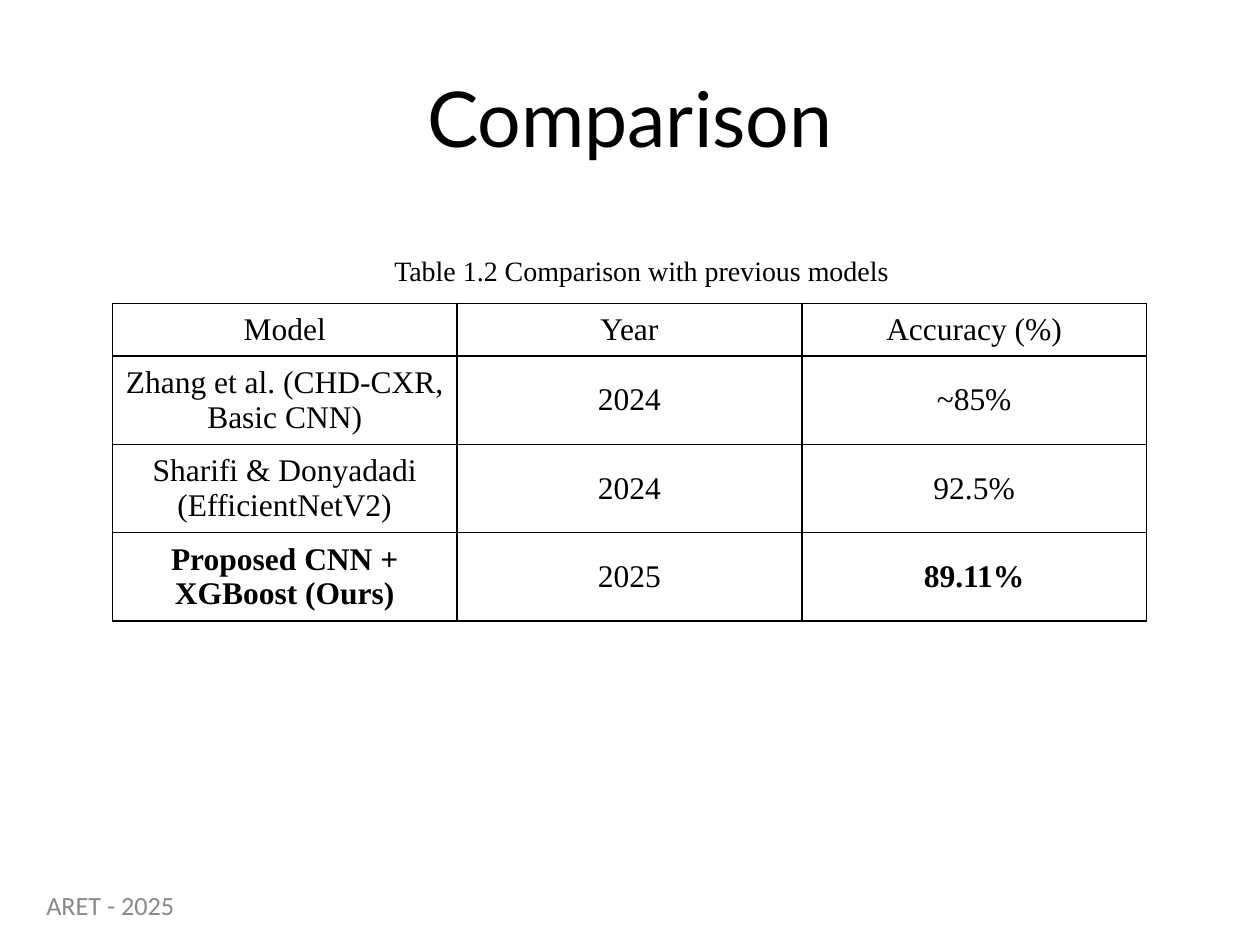
"""Build the model comparison slide."""
from lxml.etree import SubElement
from pptx import Presentation
from pptx.dml.color import RGBColor
from pptx.enum.text import MSO_ANCHOR as Anchor, PP_ALIGN as Align
from pptx.oxml.ns import qn
from pptx.util import Pt

COLORS = {"text": "000000", "border": "000000", "footer": "898989"}
SERIF = "Times New Roman"
MODELS = [
    ("Model", "Year", "Accuracy (%)"),
    ("Zhang et al. (CHD-CXR, Basic CNN)", "2024", "~85%"),
    ("Sharifi & Donyadadi (EfficientNetV2)", "2024", "92.5%"),
    ("Proposed CNN + XGBoost (Ours)", "2025", "89.11%"),
]
BOLD_TEXTS = {"Proposed CNN + XGBoost (Ours)", "89.11%"}
ROW_HEIGHTS = (30, 50.4, 50.4, 50.4)
COLUMN_WIDTH = 197


def write(frame, text, font_name, size, color="text", align=Align.LEFT, bold=False):
    """Set one formatted paragraph in a text frame and return it."""
    frame.text = text
    paragraph = frame.paragraphs[0]
    paragraph.alignment = align
    font = paragraph.runs[0].font
    font.name, font.size, font.bold = font_name, Pt(size), bold
    font.color.rgb = RGBColor.from_string(COLORS[color])
    return paragraph


def add_title(slide, text):
    """Place and format the title placeholder."""
    title = slide.shapes.title
    title.left, title.top, title.width, title.height = Pt(36), Pt(21.6), Pt(648), Pt(90)
    title.text_frame.vertical_anchor = Anchor.MIDDLE
    write(title.text_frame, text, "Lato", 44, align=Align.CENTER)


def add_label(slide, text, box, font_name, size, color="text"):
    """Add a text box and return its paragraph."""
    frame = slide.shapes.add_textbox(*map(Pt, box)).text_frame
    frame.word_wrap = True
    return write(frame, text, font_name, size, color)


def draw_borders(cell):
    """Give a cell a thin solid line on all four sides."""
    properties = cell._tc.get_or_add_tcPr()
    for position, side in enumerate(("a:lnL", "a:lnR", "a:lnT", "a:lnB")):
        line = SubElement(properties, qn(side), w=str(Pt(1)))
        fill = SubElement(line, qn("a:solidFill"))
        SubElement(fill, qn("a:srgbClr"), val=COLORS["border"])
        properties.insert(position, line)


def add_comparison_table(slide, left, top):
    """Add the bordered table of models."""
    columns = len(MODELS[0])
    table = slide.shapes.add_table(
        len(MODELS), columns, Pt(left), Pt(top),
        Pt(COLUMN_WIDTH * columns), Pt(sum(ROW_HEIGHTS)),
    ).table
    table.first_row = table.horz_banding = False
    for column in table.columns:
        column.width = Pt(COLUMN_WIDTH)
    for row, height, texts in zip(table.rows, ROW_HEIGHTS, MODELS):
        row.height = Pt(height)
        for cell, text in zip(row.cells, texts):
            cell.fill.background()
            cell.vertical_anchor = Anchor.MIDDLE
            write(cell.text_frame, text, SERIF, 18,
                  align=Align.CENTER, bold=text in BOLD_TEXTS)
            draw_borders(cell)


def main():
    """Assemble and save the slide."""
    deck = Presentation()
    deck.slide_width, deck.slide_height = Pt(720), Pt(540)
    slide = deck.slides.add_slide(deck.slide_layouts[5])
    add_title(slide, "Comparison")
    footer = add_label(slide, "ARET - 2025", (19.4, 508.3, 521.3, 23), "Calibri", 15, "footer")
    footer.line_spacing = 0.8
    footer.space_before = Pt(3.8)
    add_comparison_table(slide, 64.2, 173.5)
    add_label(slide, "Table 1.2 Comparison with previous models",
              (218.2, 141.1, 323.3, 26.6), SERIF, 16)
    deck.save("out.pptx")


if __name__ == "__main__":
    main()
